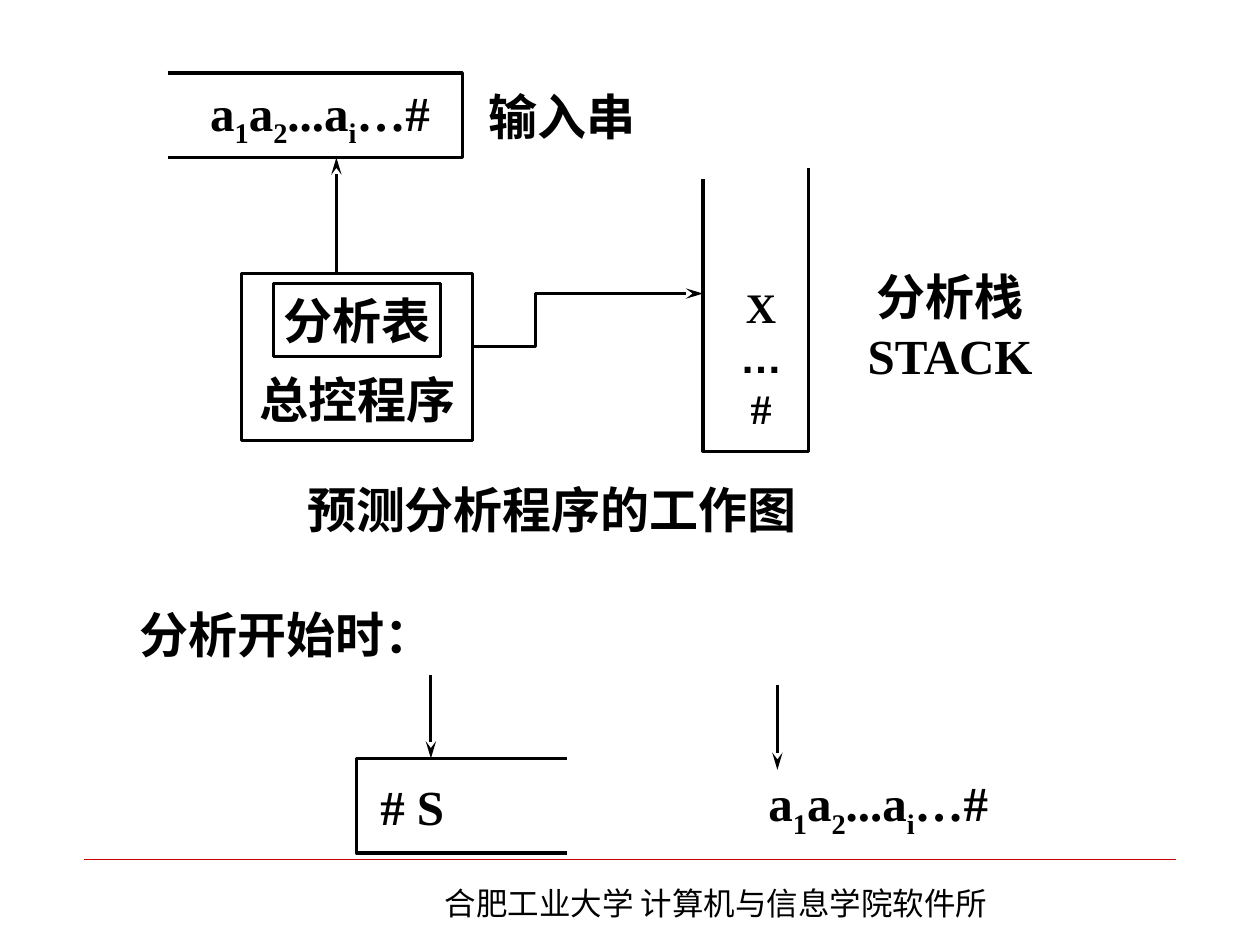
"""Build the slide showing how a predictive parser works."""
from lxml.etree import SubElement
from pptx import Presentation
from pptx.dml.color import RGBColor
from pptx.enum.shapes import MSO_CONNECTOR, MSO_SHAPE
from pptx.enum.text import MSO_ANCHOR, PP_ALIGN
from pptx.oxml.ns import qn
from pptx.util import Inches, Pt

COLORS = {"ink": "000000", "rule": "CC0000"}
LATIN, SANS, CHINESE = "Times New Roman", "Arial", "Noto Sans CJK SC"
SUBSCRIPT = "-25000"
LEFT, CENTER = PP_ALIGN.LEFT, PP_ALIGN.CENTER
TOP, MIDDLE, BOTTOM = MSO_ANCHOR.TOP, MSO_ANCHOR.MIDDLE, MSO_ANCHOR.BOTTOM

INPUT_STRING = [("a", False), ("1", True), ("a", False), ("2", True),
                ("...a", False), ("i", True), ("…#", False)]
FOOTER = "合肥工业大学 计算机与信息学院软件所"

PROGRAM_BOXES = [
    ("总控程序", (1.92, 2.17, 1.83, 1.33), BOTTOM, 0.1),
    ("分析表", (2.17, 2.25, 1.33, 0.58), MIDDLE, 0.05),
]
LABELS = [
    (["输入串"], (3.42, 0.67, 2.08, 0.5), CENTER, MIDDLE),
    (["分析栈", "STACK"], (6.5, 2.33, 2.08, 0.5), CENTER, MIDDLE),
    ([INPUT_STRING], (1.5, 0.67, 2.08, 0.5), CENTER, MIDDLE),
    (["预测分析程序的工作图"], (2.23, 3.75, 4.3, 0.58), CENTER, MIDDLE),
    (["# S"], (2.92, 6.11, 1.42, 0.58), LEFT, MIDDLE),
    ([INPUT_STRING], (6, 6.11, 2.08, 0.58), LEFT, MIDDLE),
    (["分析开始时："], (1.01, 4.75, 2.53, 0.57), LEFT, TOP),
]
STACK_ITEMS = ["X", "…", "#"]
STACK_AREA = (5.75, 2.17, 0.58, 1.33)

OUTLINES = [
    ([(5.58, 1.42), (5.58, 3.58), (6.42, 3.58), (6.42, 1.33)], False),
    ([(1.33, 0.58), (3.67, 0.58), (3.67, 1.25), (1.33, 1.25)], False),
    ([(4.5, 6.02), (2.83, 6.02), (2.83, 6.77), (4.5, 6.77)], False),
    ([(3.75, 2.75), (4.25, 2.75), (4.25, 2.33), (5.58, 2.33)], True),
]
ARROWS = [
    ((2.67, 2.17), (2.67, 1.25)),
    ((3.42, 5.36), (3.42, 6.02)),
    ((6.17, 5.44), (6.17, 6.11)),
]


def inches(values):
    return [Inches(value) for value in values]


def style_line(shape, color="ink", width=1.75, arrow=False):
    shape.line.color.rgb = RGBColor.from_string(COLORS[color])
    shape.line.width = Pt(width)
    if arrow:
        line = shape.line._get_or_add_ln()
        SubElement(line, qn("a:tailEnd"), type="stealth", len="lg")


def style_span(span, size, bold=True, font=LATIN):
    span.font.size = Pt(size)
    span.font.bold = bold
    span.font.name = font
    span.font.color.rgb = RGBColor.from_string(COLORS["ink"])
    SubElement(span._r.get_or_add_rPr(), qn("a:ea"), typeface=CHINESE)


def write(box, lines, size=28, align=CENTER, anchor=MIDDLE):
    frame = box.text_frame
    frame.word_wrap = False
    frame.vertical_anchor = anchor
    for index, line in enumerate(lines):
        paragraph = frame.add_paragraph() if index else frame.paragraphs[0]
        paragraph.alignment = align
        for text, lowered in [(line, False)] if isinstance(line, str) else line:
            span = paragraph.add_run()
            span.text = text
            style_span(span, size, font=SANS if text == "…" else LATIN)
            if lowered:
                span.font._element.set("baseline", SUBSCRIPT)


def add_line(page, start, end, **style):
    line = page.shapes.add_connector(MSO_CONNECTOR.STRAIGHT, *inches(start + end))
    style_line(line, **style)
    SubElement(line._element.spPr, qn("a:effectLst"))


def add_outline(page, points, arrow):
    first, *rest = [inches(point) for point in points]
    builder = page.shapes.build_freeform(*first)
    builder.add_line_segments(rest, close=False)
    outline = builder.convert_to_shape()
    outline.fill.background()
    outline.shadow.inherit = False
    style_line(outline, arrow=arrow)


def add_footer(page):
    add_line(page, (0.67, 6.82), (9.33, 6.82), color="rule", width=0.25)
    box = page.shapes.add_textbox(*inches((3.43, 6.97, 4.8, 0.4)))
    box.text_frame.word_wrap = True
    box.text_frame.text = FOOTER
    paragraph = box.text_frame.paragraphs[0]
    paragraph.space_before = Pt(11.2)
    style_span(paragraph.runs[0], 18, bold=False, font=CHINESE)


def main():
    deck = Presentation()
    deck.slide_width, deck.slide_height = Inches(10), Inches(7.5)
    page = deck.slides.add_slide(deck.slide_layouts[6])
    add_footer(page)
    for text, area, anchor, margin in PROGRAM_BOXES:
        box = page.shapes.add_shape(MSO_SHAPE.RECTANGLE, *inches(area))
        box.fill.background()
        box.shadow.inherit = False
        box.text_frame.margin_bottom = Inches(margin)
        style_line(box)
        write(box, [text], anchor=anchor)
    for points, arrow in OUTLINES:
        add_outline(page, points, arrow)
    for start, end in ARROWS:
        add_line(page, start, end, arrow=True)
    write(page.shapes.add_textbox(*inches(STACK_AREA)), STACK_ITEMS, size=24)
    for lines, area, align, anchor in LABELS:
        box = page.shapes.add_textbox(*inches(area))
        write(box, lines, align=align, anchor=anchor)
    deck.save("out.pptx")


if __name__ == "__main__":
    main()
